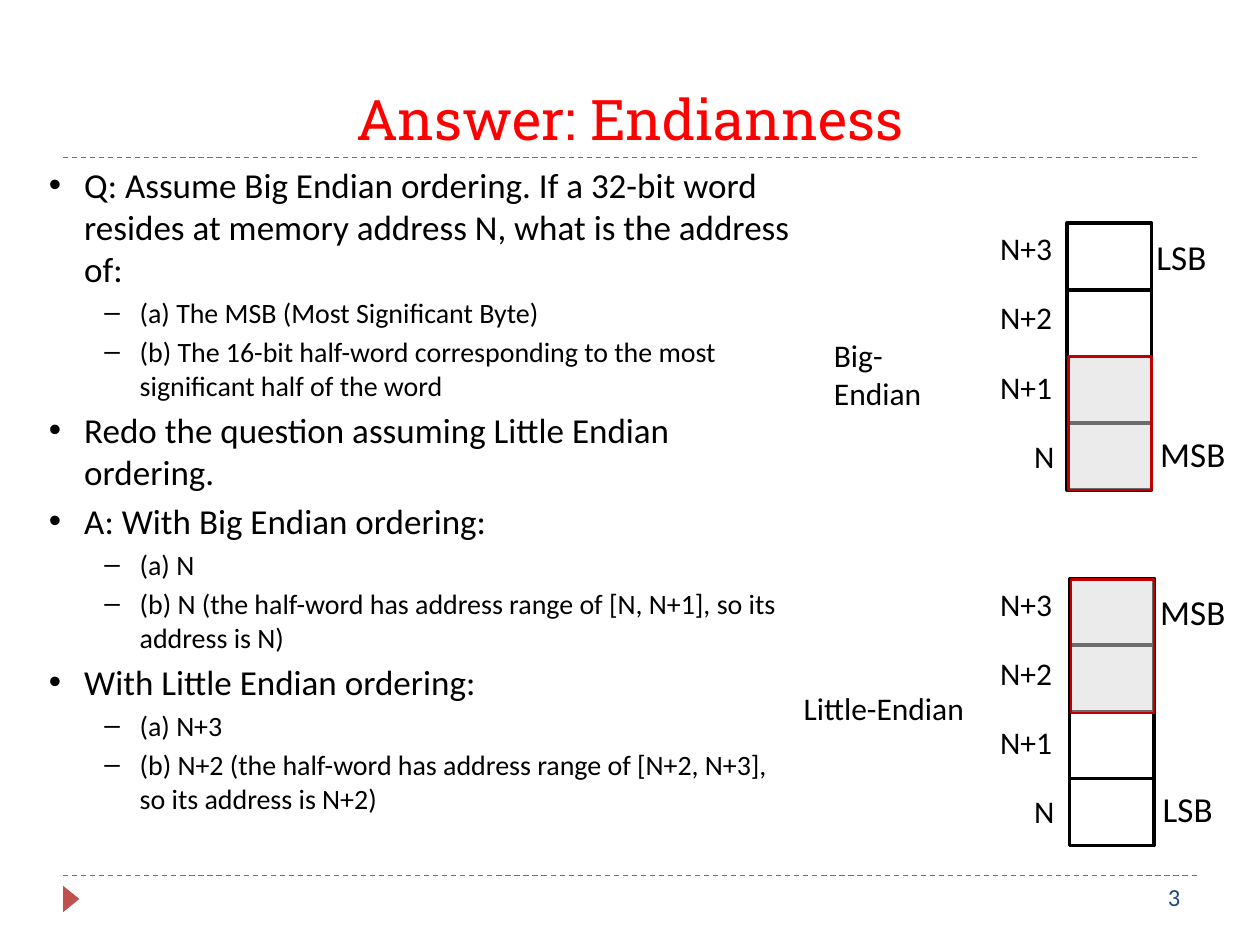
from dataclasses import dataclass

import pptx
import pptx.dml.color
import pptx.enum.dml
import pptx.enum.shapes
import pptx.enum.text
import pptx.oxml
import pptx.oxml.ns
import pptx.util
from lxml import etree

PX = 9144  # EMU per px, 100 px to the inch
SHAPE = pptx.enum.shapes.MSO_SHAPE
ALIGN = pptx.enum.text.PP_ALIGN
ANCHOR = pptx.enum.text.MSO_ANCHOR
COLORS = {
    "text": "000000", "title": "FF0000", "number": "1F497D", "accent": "C0504D",
    "cell": "FFFFFF", "half": "D9D9D9", "half_line": "C00000",
}
CELL_W, CELL_H, LABEL_STEP = 67, 53, 55
ROWS = ["N+3", "N+2", "N+1", "N"]


@dataclass
class Label:
    text: str
    left: int
    top: int
    width: int
    height: int = 40
    size: int = 18
    color: str = "text"
    font: str = "Calibri"
    wrap: bool = False
    align: ALIGN = ALIGN.LEFT
    anchor: ANCHOR = ANCHOR.TOP


@dataclass
class Stack:
    left: int
    top: int
    caption: Label
    ends: list[Label]
    half_top: int


@dataclass
class Bullet:
    mark: str
    indent: int
    size: int


LEVELS = [Bullet("•", 28, 20), Bullet("–", 72, 16)]
BODY = [
    (0, "Q: Assume Big Endian ordering. If a 32-bit word resides at memory "
        "address N, what is the address of:"),
    (1, "(a) The MSB (Most Significant Byte)"),
    (1, "(b) The 16-bit half-word corresponding to the most significant half of the word"),
    (0, "Redo the question assuming Little Endian ordering."),
    (0, "A: With Big Endian ordering:"),
    (1, "(a) N"),
    (1, "(b) N (the half-word has address range of [N, N+1], so its address is N)"),
    (0, "With Little Endian ordering:"),
    (1, "(a) N+3"),
    (1, "(b) N+2 (the half-word has address range of [N+2, N+3], so its address is N+2)"),
]
STACKS = [
    Stack(847, 177, Label("Big-Endian", 652, 262, 124, wrap=True),
          [Label("LSB", 908, 182, 79, 44, 20, wrap=True),
           Label("MSB", 911, 338, 79, 44, 20, wrap=True)], 283),
    Stack(849, 459, Label("Little-Endian", 628, 542, 148),
          [Label("MSB", 911, 464, 79, 44, 20, wrap=True),
           Label("LSB", 913, 620, 67, 44, 20, wrap=True)], 460),
]


def rgb(name: str) -> pptx.dml.color.RGBColor:
    return pptx.dml.color.RGBColor.from_string(COLORS[name])


def emu(*lengths: int) -> list[int]:
    return [n * PX for n in lengths]


def style(font, size: int, color: str, name: str = "Calibri") -> None:
    font.size = pptx.util.Pt(size)
    font.name = name
    font.color.rgb = rgb(color)


def add_label(s, label: Label) -> None:
    sp = s.shapes.add_textbox(*emu(label.left, label.top, label.width, label.height))
    tf = sp.text_frame
    tf.text = label.text
    tf.word_wrap = label.wrap
    tf.vertical_anchor = label.anchor
    p = tf.paragraphs[0]
    p.alignment = label.align
    style(p.runs[0].font, label.size, label.color, label.font)


def add_rule(s, top: int) -> None:
    ln = s.shapes.add_connector(
        pptx.enum.shapes.MSO_CONNECTOR.STRAIGHT, *emu(50, top, 950, top))
    ln.line.color.rgb = rgb("accent")
    ln.line.width = pptx.util.Pt(0.75)
    ln.line.dash_style = pptx.enum.dml.MSO_LINE.DASH
    etree.SubElement(ln._element.spPr, pptx.oxml.ns.qn("a:effectLst"))


def add_block(shapes, kind: SHAPE, box: list[int], fill: str,
              line: str = "", weight: float = 0):
    sp = shapes.add_shape(kind, *emu(*box))
    sp.shadow.inherit = False
    sp.fill.solid()
    sp.fill.fore_color.rgb = rgb(fill)
    if line:
        sp.line.color.rgb = rgb(line)
        sp.line.width = pptx.util.Pt(weight)
    else:
        sp.line.fill.background()
    return sp


def add_body(s) -> None:
    tf = s.shapes.add_textbox(*emu(29, 125, 615, 592)).text_frame
    tf.word_wrap = True
    for i, (level, text) in enumerate(BODY):
        bullet = LEVELS[level]
        p = tf.add_paragraph() if i else tf.paragraphs[0]
        p.text = text
        p.level = level
        p.space_before = pptx.util.Pt(bullet.size * 0.2 if i else 0)
        pPr = p._p.get_or_add_pPr()
        pPr.set("marL", str(bullet.indent * PX))
        pPr.set("indent", str(-28 * PX))
        font = etree.SubElement(pPr, pptx.oxml.ns.qn("a:buFont"))
        font.set("typeface", "Arial")
        etree.SubElement(pPr, pptx.oxml.ns.qn("a:buChar")).set("char", bullet.mark)
        style(p.runs[0].font, bullet.size, "text")


def add_stack(s, stack: Stack) -> None:
    # Memory cells, top address first
    group = s.shapes.add_group_shape()
    for i, row in enumerate(ROWS):
        box = [stack.left, stack.top + i * CELL_H, CELL_W, CELL_H]
        add_block(group.shapes, SHAPE.RECTANGLE, box, "cell", "text", 2)
        left, width = (811, 40) if row == "N" else (784, 67)
        add_label(s, Label(row, left, stack.top + i * LABEL_STEP, width))
    for label in [stack.caption, *stack.ends]:
        add_label(s, label)

    # Most significant half-word
    box = [stack.left + 1, stack.half_top, CELL_W - 1, 2 * CELL_H]
    half = add_block(s.shapes, SHAPE.RECTANGLE, box, "half", "half_line", 1.5)
    color = half._element.spPr.find(".//" + pptx.oxml.ns.qn("a:srgbClr"))
    etree.SubElement(color, pptx.oxml.ns.qn("a:alpha")).set("val", "50000")


def main() -> None:
    prs = pptx.Presentation()
    prs.slide_width, prs.slide_height = emu(1000, 750)
    s = prs.slides.add_slide(prs.slide_layouts[6])

    # Frame: rules, page number and corner marker
    for top in (695, 125):
        add_rule(s, top)
    add_label(s, Label("3", 917, 695, 83, size=14, color="number", wrap=True))
    marker = add_block(s.shapes, SHAPE.ISOSCELES_TRIANGLE, [46, 707, 21, 13], "accent")
    marker.rotation = 90

    # Title and text
    add_label(s, Label("Answer: Endianness", 50, 25, 900, 100, 32, "title",
                       "Roboto Slab", True, ALIGN.CENTER, ANCHOR.BOTTOM))
    add_body(s)

    # Memory diagrams
    for stack in STACKS:
        add_stack(s, stack)

    prs.save("out.pptx")


if __name__ == "__main__":
    main()
